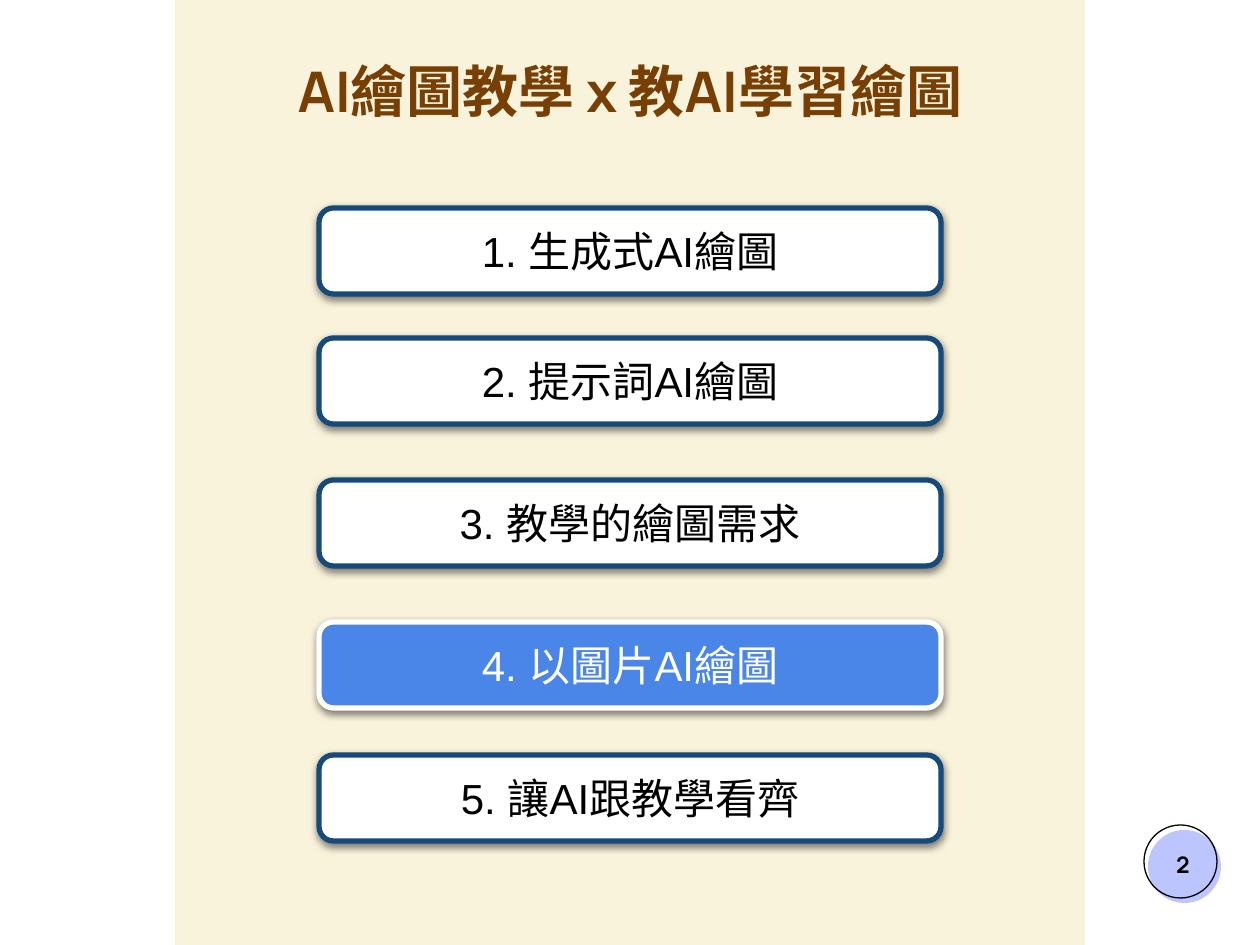
"""Build the agenda slide on AI drawing and teaching."""
from lxml.etree import SubElement
from pptx import Presentation
from pptx.dml.color import RGBColor
from pptx.enum.shapes import MSO_SHAPE
from pptx.enum.text import MSO_ANCHOR, PP_ALIGN
from pptx.oxml.ns import qn
from pptx.util import Emu, Pt

CREAM = RGBColor(0xF9, 0xF3, 0xDC)
WHITE = RGBColor(0xFF, 0xFF, 0xFF)
BLACK = RGBColor(0, 0, 0)
BROWN = RGBColor(0x78, 0x3F, 0x04)
NAVY = RGBColor(0x18, 0x49, 0x7B)
BLUE = RGBColor(0x4A, 0x86, 0xE8)
LILAC = RGBColor(0xBD, 0xC5, 0xFF)

TITLE = "AI繪圖教學 x 教AI學習繪圖"
PAGE_NUMBER = "2"
TOPICS = [
    ("1. 生成式AI繪圖", 208),
    ("2. 提示詞AI繪圖", 338),
    ("3. 教學的繪圖需求", 480),
    ("4. 以圖片AI繪圖", 622),
    ("5. 讓AI跟教學看齊", 755),
]
CURRENT_TOPIC = 3

SLIDE_WIDTH, SLIDE_HEIGHT = 1260, 945
PANEL_WIDTH = 175
TOPIC_WIDTH, TOPIC_HEIGHT = 622, 86
BADGE_SIZE = 73
INSET = 13


def px(length):
    return Emu(round(length * 914400 / 126))


def add_shape(slide, kind, box, fill=None, line=None, line_width=0.75):
    shape = slide.shapes.add_shape(kind, *map(px, box))
    shape.shadow.inherit = False
    if fill is None:
        shape.fill.background()
    else:
        shape.fill.solid()
        shape.fill.fore_color.rgb = fill
    if line is None:
        shape.line.fill.background()
    else:
        shape.line.color.rgb = line
        shape.line.width = Pt(line_width)
    return shape


def add_shadow(shape):
    effects = shape._element.spPr.find(qn("a:effectLst"))
    shadow = SubElement(effects, qn("a:outerShdw"), blurRad=str(Pt(4.5)), dist=str(Pt(1.5)),
                        dir="5400000", algn="bl", rotWithShape="0")
    color = SubElement(shadow, qn("a:srgbClr"), val=str(BLACK))
    SubElement(color, qn("a:alpha"), val="50000")


def set_text(shape, text, font_name, size, color, bold=False,
             anchor=MSO_ANCHOR.MIDDLE, top_inset=INSET):
    frame = shape.text_frame
    frame.word_wrap = True
    frame.vertical_anchor = anchor
    frame.margin_left = frame.margin_right = frame.margin_bottom = px(INSET)
    frame.margin_top = px(top_inset)
    paragraph = frame.paragraphs[0]
    paragraph.text = text
    paragraph.alignment = PP_ALIGN.CENTER
    font = paragraph.font
    font.name, font.size, font.bold = font_name, Pt(size), bold
    font.color.rgb = color
    properties = paragraph._p.pPr.find(qn("a:defRPr"))
    SubElement(properties, qn("a:ea"), typeface=font_name)


def main():
    presentation = Presentation()
    presentation.slide_width = px(SLIDE_WIDTH)
    presentation.slide_height = px(SLIDE_HEIGHT)
    slide = presentation.slides.add_slide(presentation.slide_layouts[6])
    slide.background.fill.solid()
    slide.background.fill.fore_color.rgb = CREAM

    for left in (0, SLIDE_WIDTH - PANEL_WIDTH):
        add_shape(slide, MSO_SHAPE.RECTANGLE, (left, 0, PANEL_WIDTH, SLIDE_HEIGHT), WHITE)

    add_shape(slide, MSO_SHAPE.OVAL, (1148, 830, BADGE_SIZE, BADGE_SIZE), LILAC)
    add_shape(slide, MSO_SHAPE.OVAL, (1144, 825, BADGE_SIZE, BADGE_SIZE), line=BLACK)
    number = slide.shapes.add_textbox(*map(px, (1145, 828, 76, 72)))
    set_text(number, PAGE_NUMBER, "Manrope", 13, BLACK, bold=True)

    title_width = SLIDE_WIDTH - 2 * PANEL_WIDTH
    title = slide.shapes.add_textbox(*map(px, (PANEL_WIDTH, 57, title_width, 86)))
    set_text(title, TITLE, "Manrope", 32, BROWN, bold=True, anchor=MSO_ANCHOR.TOP, top_inset=0)

    topic_left = (SLIDE_WIDTH - TOPIC_WIDTH) / 2
    for index, (text, top) in enumerate(TOPICS):
        fill, line, color = (BLUE, WHITE, WHITE) if index == CURRENT_TOPIC else (WHITE, NAVY, BLACK)
        topic = add_shape(slide, MSO_SHAPE.ROUNDED_RECTANGLE,
                          (topic_left, top, TOPIC_WIDTH, TOPIC_HEIGHT), fill, line, 3)
        add_shadow(topic)
        set_text(topic, text, "Arial", 24, color)

    presentation.save("out.pptx")


if __name__ == "__main__":
    main()
